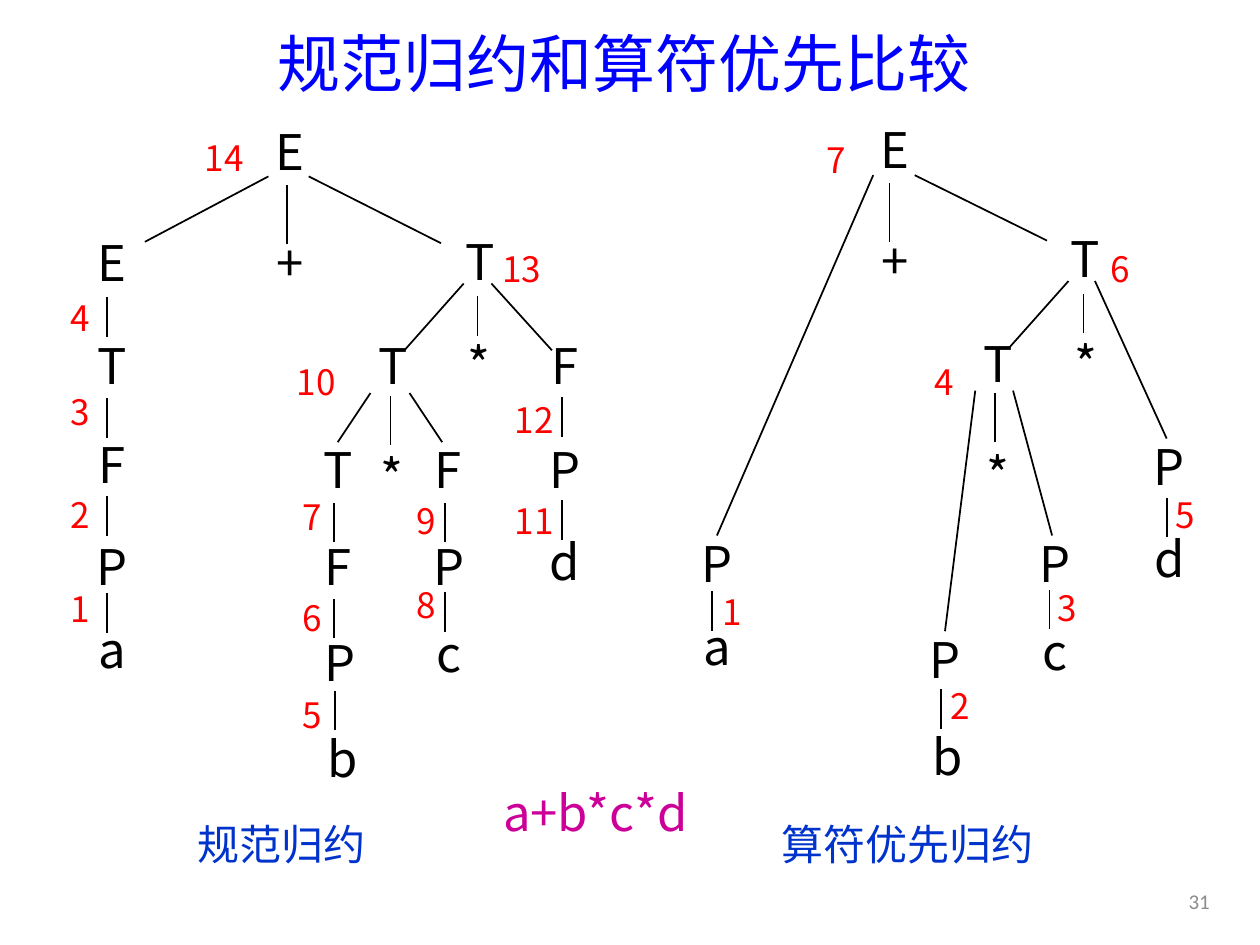
from pptx import Presentation
from pptx.dml.color import RGBColor
from pptx.enum.shapes import MSO_CONNECTOR
from pptx.enum.text import MSO_ANCHOR, PP_ALIGN
from pptx.oxml.ns import qn
from pptx.util import Pt

STRAIGHT = MSO_CONNECTOR.STRAIGHT
MIDDLE = MSO_ANCHOR.MIDDLE
CENTER, RIGHT = PP_ALIGN.CENTER, PP_ALIGN.RIGHT

COLORS = {
    "title": "0000FF",
    "node": "000000",
    "step": "FF0000",
    "caption": "0033CC",
    "expression": "CC0099",
    "number": "8C8C8C",
}
SANS = "Noto Sans CJK SC"
FORMATS = {
    "title": {"size": Pt(36), "name": "Noto Sans CJK JP"},
    "node": {"size": Pt(28), "name": SANS},
    "step": {"size": Pt(20), "name": SANS},
    "caption": {"size": Pt(24), "name": SANS},
    "expression": {"size": Pt(28), "name": SANS},
    "number": {"size": Pt(12), "name": "Calibri"},
}
NODE_SIZE = (54.7, 31.7)
STEP_SIZE = (41.8, 28.8)
STEM = 22.7        # edge between a symbol and its only child
LONG_STEM = 33.9   # edge from the root down to "+"
MID_STEM = 28.1    # edge from the inner T down to "*"

# Symbols and steps: text, centre x, centre y. Stems: x, top, length.
# Branches: x and y of both ends.
CANONICAL = {
    "nodes": [
        ("E", 165.6, 86.4), ("+", 165.6, 149.8), ("T", 274.3, 149),
        ("E", 64.1, 149.8), ("T", 64.1, 208.8), ("F", 64.1, 265),
        ("P", 64.1, 323.3), ("a", 64.1, 370.8),
        ("T", 224.6, 208.8), ("*", 273.6, 208.1), ("F", 322.6, 208.8),
        ("P", 322.6, 267.8), ("d", 322.6, 320.4),
        ("T", 193, 267.8), ("*", 223.9, 272.2), ("F", 256.3, 267.8),
        ("P", 256.3, 323.3), ("c", 256.3, 373),
        ("F", 193, 323.3), ("P", 194.4, 378), ("b", 195.8, 433.4),
    ],
    "stems": [
        (61.2, 169.9, STEM), (61.2, 227.5, STEM), (61.2, 283.7, STEM),
        (61.2, 339.1, STEM), (321.1, 226.8, STEM), (321.1, 285.8, STEM),
        (272.9, 169.2, STEM), (254.2, 287.3, STEM), (254.2, 338.4, STEM),
        (190.8, 287.3, STEM), (190.8, 342, STEM), (191.5, 394.6, STEM),
        (164.2, 105.8, LONG_STEM), (223.2, 226.1, MID_STEM),
    ],
    "branches": [
        (82.8, 138.2, 153.4, 100.8), (176.4, 100.8, 252, 139),
        (231.1, 200.2, 265, 162), (280.8, 162, 315.4, 200.2),
        (193, 252.7, 211.7, 224.6), (234, 224.6, 252.7, 252.7),
    ],
    "steps": [
        (1, 46.1, 347.8), (2, 46.1, 293.8), (3, 46.1, 235.4),
        (4, 46.1, 181.4), (5, 178.6, 408.2), (6, 178.6, 352.8),
        (7, 178.6, 295.2), (8, 243.4, 345.6), (9, 243.4, 297.4),
        (10, 180.7, 218.2), (11, 305.3, 297.4), (12, 305.3, 239.8),
        (13, 298.1, 153.4), (14, 128.2, 90),
    ],
    "caption": ("规范归约", 160.9, 482.4, 127.4, 36),
}
PRECEDENCE = {
    "nodes": [
        ("E", 511.2, 85), ("+", 511.2, 148.3), ("T", 619.9, 147.6),
        ("P", 409.7, 321.8), ("a", 409.7, 369.4),
        ("T", 570.2, 207.4), ("*", 620.6, 207.4),
        ("P", 668.2, 266.4), ("d", 668.2, 319),
        ("*", 570.2, 270.7), ("P", 602.6, 321.8), ("c", 602.6, 372.2),
        ("P", 540, 376.6), ("b", 541.4, 432),
    ],
    "stems": [
        (406.8, 337.7, STEM), (599.8, 337, STEM), (537.8, 393.8, STEM),
        (666.7, 284.4, STEM), (619.2, 167.8, STEM),
        (508.3, 104.4, LONG_STEM), (568.8, 224.6, MID_STEM),
    ],
    "branches": [
        (409.7, 306, 499, 100.1), (522.7, 100.1, 598.3, 137.5),
        (576.7, 198.7, 610.6, 160.6), (625.7, 160.6, 666.7, 250.6),
        (540, 360.7, 557.3, 223.2), (578.9, 223.2, 601.2, 306),
    ],
    "steps": [
        (1, 418.3, 349.2), (2, 548.6, 403.2), (3, 609.8, 347),
        (4, 539.3, 218.2), (5, 677.5, 293.8), (6, 640.1, 153.4),
        (7, 478.1, 91.4),
    ],
    "caption": ("算符优先归约", 518.4, 482.4, 187.2, 36),
}


def add_label(shapes, text, x, y, width, height, role, align=CENTER):
    """Add one line of text centred on the point (x, y)."""
    label = shapes.add_textbox(Pt(x - width / 2), Pt(y - height / 2),
                               Pt(width), Pt(height))
    frame = label.text_frame
    frame.word_wrap = True
    frame.vertical_anchor = MIDDLE
    paragraph = frame.paragraphs[0]
    paragraph.alignment = align
    run = paragraph.add_run()
    run.text = text
    for attribute, value in FORMATS[role].items():
        setattr(run.font, attribute, value)
    run.font.color.rgb = RGBColor.from_string(COLORS[role])
    # Chinese characters take their typeface from a:ea
    east_asian = run._r.get_or_add_rPr().makeelement(
        qn("a:ea"), {"typeface": FORMATS[role]["name"]})
    run._r.rPr.append(east_asian)
    return paragraph


def add_edge(shapes, x1, y1, x2, y2):
    edge = shapes.add_connector(STRAIGHT, Pt(x1), Pt(y1), Pt(x2), Pt(y2))
    edge.line.color.rgb = RGBColor.from_string(COLORS["node"])
    edge.line.width = Pt(1)
    properties = edge._element.spPr
    properties.append(properties.makeelement(qn("a:effectLst"), {}))


def add_steps(shapes, steps):
    for step, x, y in steps:
        add_label(shapes, str(step), x, y, *STEP_SIZE, "step")


def add_tree(slide, tree):
    shapes = slide.shapes.add_group_shape().shapes
    for symbol, x, y in tree["nodes"]:
        add_label(shapes, symbol, x, y, *NODE_SIZE, "node")
    for x, top, length in tree["stems"]:
        add_edge(shapes, x, top + length, x, top)
    for branch in tree["branches"]:
        add_edge(shapes, *branch)
    add_label(shapes, *tree["caption"], "caption")


def main():
    prs = Presentation()
    prs.slide_width, prs.slide_height = Pt(720), Pt(540)
    slide = prs.slides.add_slide(prs.slide_layouts[6])

    # Title and slide number
    title = add_label(slide.shapes, "规范归约和算符优先比较",
                      356.8, 38.2, 556.6, 41.8, "title")
    title.line_spacing = 0.9
    add_label(slide.shapes, "31", 678.6, 514.8, 39.6, 28.8, "number", RIGHT)

    # Reduction order, then the syntax trees
    trees = (CANONICAL, PRECEDENCE)
    for tree in trees:
        add_steps(slide.shapes, tree["steps"])
    for tree in trees:
        add_tree(slide, tree)

    # Expression being reduced
    add_label(slide.shapes, "a+b*c*d", 340.2, 463.7, 137.5, 31.7, "expression")

    prs.save("out.pptx")


if __name__ == "__main__":
    main()
